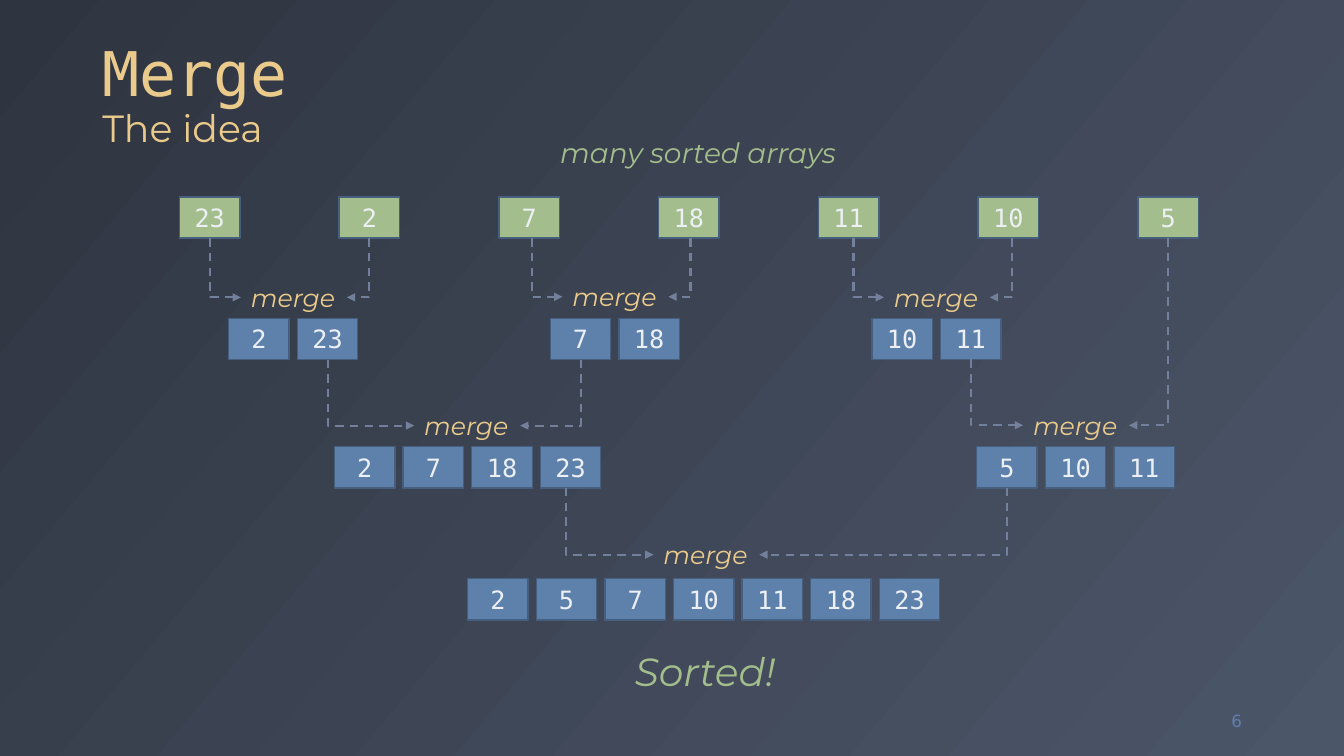
import pptx
import pptx.util
import pptx.dml.color
import pptx.enum.dml
import pptx.enum.shapes
import pptx.enum.text
import pptx.oxml.ns
import lxml.etree

Pt = pptx.util.Pt
RGBColor = pptx.dml.color.RGBColor
ALIGN = pptx.enum.text.PP_ALIGN
ANCHOR = pptx.enum.text.MSO_ANCHOR
qn = pptx.oxml.ns.qn

NIGHT = RGBColor(0x2E, 0x34, 0x40)
SLATE = RGBColor(0x4C, 0x56, 0x69)
YELLOW = RGBColor(0xEB, 0xCB, 0x8B)
GREEN = RGBColor(0xA3, 0xBE, 0x8C)
BLUE = RGBColor(0x5E, 0x81, 0xAC)
EDGE = RGBColor(0x46, 0x5F, 0x7F)
ARROW = RGBColor(0x73, 0x80, 0x9B)
SNOW = RGBColor(0xEC, 0xEF, 0xF3)
MONO, SANS, NUMBER = "DejaVu Sans Mono", "Montserrat", "DejaVu Sans"

CELL_W, CELL_H, CELL_STEP = 43.2, 29.5, 49
LABEL_W, LABEL_H = 75.6, 28.8

deck = pptx.Presentation()
deck.slide_width, deck.slide_height = Pt(960), Pt(540)
page = deck.slides.add_slide(deck.slide_layouts[6])


def write(text, left, top, width, height, size=18, font=SANS, color=YELLOW, italic=False,
          align=ALIGN.LEFT, anchor=ANCHOR.TOP, wrap=False, fill=None):
    """Place text in a plain box, or in a bordered cell when a fill is given."""
    place = [Pt(value) for value in (left, top, width, height)]
    if fill is None:
        box = page.shapes.add_textbox(*place)
    else:
        box = page.shapes.add_shape(pptx.enum.shapes.MSO_SHAPE.RECTANGLE, *place)
        box.shadow.inherit = False
        box.fill.solid()
        box.fill.fore_color.rgb = fill
        box.line.color.rgb = EDGE
        box.line.width = Pt(1)
    frame = box.text_frame
    frame.word_wrap = wrap
    frame.vertical_anchor = anchor
    para = frame.paragraphs[0]
    para.alignment = align
    span = para.add_run()
    span.text = text
    span.font.size = Pt(size)
    span.font.name = font
    span.font.color.rgb = color
    span.font.italic = italic
    return frame


def add_arm(start_x, start_y, end_x, end_y):
    """Draw a dashed arrow that runs down and then sideways."""
    # The elbow is laid out on its side about its centre, then turned.
    mid_x, mid_y = (start_x + end_x) / 2, (start_y + end_y) / 2
    half_w, half_h = (end_y - start_y) / 2, abs(end_x - start_x) / 2
    rightward = end_x > start_x
    if rightward:
        half_w = -half_w
    arm = page.shapes.add_connector(
        pptx.enum.shapes.MSO_CONNECTOR.ELBOW,
        Pt(mid_x - half_w), Pt(mid_y - half_h), Pt(mid_x + half_w), Pt(mid_y + half_h))
    arm.line.color.rgb = ARROW
    arm.line.width = Pt(1.5)
    arm.line.dash_style = pptx.enum.dml.MSO_LINE.DASH
    properties = arm._element.spPr
    properties.find(qn("a:xfrm")).set("rot", str((270 if rightward else 90) * 60000))
    properties.find(qn("a:prstGeom")).set("prst", "bentConnector2")
    lxml.etree.SubElement(properties.find(qn("a:ln")), qn("a:tailEnd"), type="triangle")
    lxml.etree.SubElement(properties, qn("a:effectLst"))


# Background
backdrop = page.background.fill
backdrop.gradient()
backdrop.gradient_angle = 320
for stop, color in zip(backdrop.gradient_stops, (NIGHT, SLATE)):
    stop.color.rgb = color

# Title and slide number
title = write("Merge", 66, 13, 828, 98, size=44, font=MONO, anchor=ANCHOR.BOTTOM, wrap=True)
title.paragraphs[0].line_spacing = 0.9
subtitle = title.add_paragraph()
subtitle.line_spacing = 0.9
span = subtitle.add_run()
span.text = "The idea"
span.font.size = Pt(27)
span.font.name = SANS
span.font.color.rgb = YELLOW
write("6", 834.5, 500.4, 59.8, 28.8, size=12, font=NUMBER, color=BLUE,
      align=ALIGN.RIGHT, anchor=ANCHOR.MIDDLE, wrap=True)

# Captions
write("many sorted arrays", 393.1, 93.6, 213.8, 31.7, size=20, color=GREEN, italic=True)
write("Sorted!", 446.4, 458.6, 115.9, 41, size=28, color=GREEN, italic=True)

# Arrays as (values, left, top, step, fill): seven single ones, then the merged ones
arrays = [
    ((23, 2, 7, 18, 11, 10, 5), 128.2, 140.6, 114.1, GREEN),
    ((2, 23), 163.4, 227.3, CELL_STEP, BLUE),
    ((7, 18), 393.1, 227.3, CELL_STEP, BLUE),
    ((10, 11), 622.8, 227.3, CELL_STEP, BLUE),
    ((2, 7, 18, 23), 239, 319, CELL_STEP, BLUE),
    ((5, 10, 11), 697.7, 319, CELL_STEP, BLUE),
    ((2, 5, 7, 10, 11, 18, 23), 334.1, 413.3, CELL_STEP, BLUE),
]
for values, left, top, step, fill in arrays:
    for index, value in enumerate(values):
        write(str(value), left + index * step, top, CELL_W, CELL_H, font=MONO, color=SNOW,
              align=ALIGN.CENTER, anchor=ANCHOR.MIDDLE, wrap=True, fill=fill)

# Merge steps as (label left, label top, start of left arm, start of right arm)
merges = [
    (172.1, 198, (150.2, 170.2), (263.5, 170.2)),
    (401.8, 197.6, (380.2, 170.2), (493.2, 170.2)),
    (631.4, 198, (609.6, 170.2), (722.9, 170.2)),
    (295.9, 289.6, (234, 256.8), (414.7, 256.8)),
    (730.8, 289.4, (693.4, 256.8), (834.5, 170.2)),
    (466.8, 381.8, (404.6, 348.5), (719.3, 348.5)),
]
for left, top, left_start, right_start in merges:
    write("merge", left, top, LABEL_W, LABEL_H, italic=True)
    add_arm(*left_start, left, top + LABEL_H / 2)
    add_arm(*right_start, left + LABEL_W, top + LABEL_H / 2)

deck.save("out.pptx")
